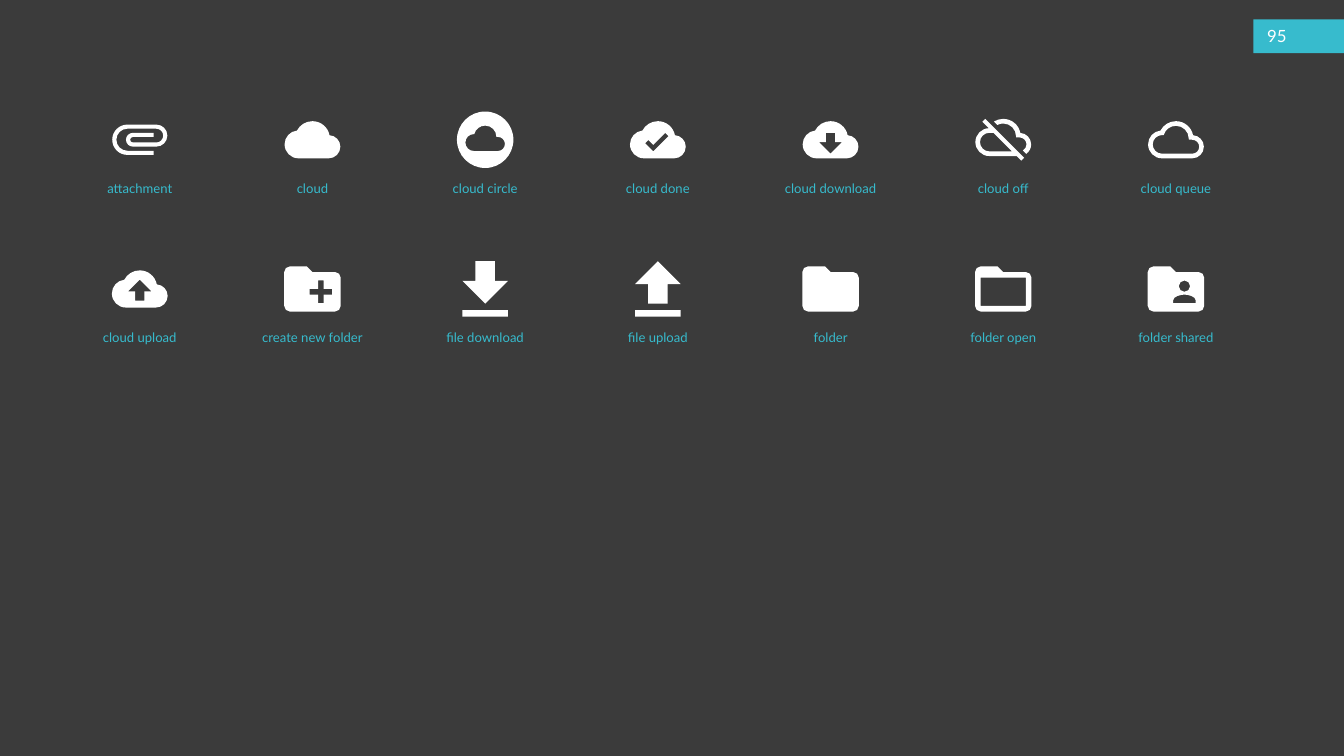
from dataclasses import dataclass
from typing import Any

from lxml.etree import SubElement
from pptx import Presentation
from pptx.dml.color import RGBColor
from pptx.enum.shapes import MSO_SHAPE
from pptx.enum.text import MSO_ANCHOR, MSO_AUTO_SIZE, PP_ALIGN
from pptx.oxml.ns import qn
from pptx.shapes.autoshape import Shape
from pptx.slide import Slide
from pptx.util import Inches, Pt

Point = tuple[int, int]
Segment = list[Point]


@dataclass(frozen=True)
class Theme:
    background: RGBColor = RGBColor(0x3B, 0x3B, 0x3B)
    accent: RGBColor = RGBColor(0x37, 0xBB, 0xCD)
    white: RGBColor = RGBColor(0xFF, 0xFF, 0xFF)
    font: str = "Lato"
    label_size: int = 14
    number_size: int = 18


@dataclass(frozen=True)
class Icon:
    label: str
    contours: tuple[str, ...]
    units_wide: float
    width: float
    middle: float = 12


@dataclass(frozen=True)
class Frame:
    left: float
    top: float
    width: float
    height: float

    def lengths(self) -> tuple[int, ...]:
        return tuple(Inches(value) for value in (self.left, self.top, self.width, self.height))


THEME = Theme()
COLUMNS = 7
FIRST_CENTER, COLUMN_STEP = 2.08, 2.57
FIRST_MIDDLE, ROW_STEP = 2.08, 2.22
LABEL_WIDTH, LABEL_HEIGHT, LABEL_DROP = 2.78, 0.34, 0.56

CLOUD = (
    "19.35,10.04 18.67,6.59,15.64,4,12,4 9.11,4,6.6,5.64,5.35,8.04 2.34,8.36,0,10.91,0,14 "
    "0,17.31,2.69,20,6,20 19,20 21.76,20,24,17.76,24,15 24,12.36,21.95,10.22,19.35,10.04"
)
CLOUD_HOLE = (
    "19,18 6,18 3.79,18,2,16.21,2,14 2,11.79,3.79,10,6,10 6.71,10 7.37,7.69,9.48,6,12,6 "
    "15.04,6,17.5,8.46,17.5,11.5 17.5,12 19,12 20.66,12,22,13.34,22,15 22,16.66,20.66,18,19,18"
)
CLOUD_OFF = (
    "19.35,10.04 18.67,6.59,15.64,4,12,4 10.52,4,9.15,4.43,7.99,5.17 9.45,6.63 "
    "10.21,6.23,11.08,6,12,6 15.04,6,17.5,8.46,17.5,11.5 17.5,12 19,12 20.66,12,22,13.34,22,15 "
    "22,16.13,21.36,17.11,20.44,17.62 21.89,19.07 23.16,18.16,24,16.68,24,15 "
    "24,12.36,21.95,10.22,19.35,10.04",
    "3,5.27 5.75,8.01 2.56,8.15,0,10.77,0,14 0,17.31,2.69,20,6,20 17.73,20 19.73,22 "
    "21,20.73 4.27,4",
    "7.73,10 15.73,18 6,18 3.79,18,2,16.21,2,14 2,11.79,3.79,10,6,10",
)
DISC = (
    "12,2 6.48,2,2,6.48,2,12 2,17.52,6.48,22,12,22 17.52,22,22,17.52,22,12 22,6.48,17.52,2,12,2"
)
SMALL_CLOUD = (
    "16.5,16 8,16 6.34,16,5,14.66,5,13 5,11.34,6.34,10,8,10 8.14,10.01 8.58,8.28,10.13,7,12,7 "
    "14.21,7,16,8.79,16,11 16.5,11 17.88,11,19,12.12,19,13.5 19,14.88,17.88,16,16.5,16"
)
CLIP = (
    "7.5,18 4.46,18,2,15.54,2,12.5 2,9.46,4.46,7,7.5,7 18,7 20.21,7,22,8.79,22,11 "
    "22,13.21,20.21,15,18,15 9.5,15 8.12,15,7,13.88,7,12.5 7,11.12,8.12,10,9.5,10 17,10 "
    "17,11.5 9.5,11.5 8.95,11.5,8.5,11.95,8.5,12.5 8.5,13.05,8.95,13.5,9.5,13.5 18,13.5 "
    "19.38,13.5,20.5,12.38,20.5,11 20.5,9.62,19.38,8.5,18,8.5 7.5,8.5 "
    "5.29,8.5,3.5,10.29,3.5,12.5 3.5,14.71,5.29,16.5,7.5,16.5 17,16.5 17,18"
)
FOLDER = (
    "10,4 4,4 2.9,4,2,4.9,2,6 2,18 2,19.1,2.9,20,4,20 20,20 21.1,20,22,19.1,22,18 "
    "22,8 22,6.9,21.1,6,20,6 12,6"
)
HEAD = "15,9 16.1,9,17,9.9,17,11 17,12.1,16.1,13,15,13 13.9,13,13,12.1,13,11 13,9.9,13.9,9,15,9"
SHOULDERS = "19,17 11,17 11,16 11,14.67,13.67,14,15,14 16.33,14,19,14.67,19,16"
CHECK = "10,17 6.5,13.5 7.91,12.09 10,14.17 15.18,9 16.59,10.41"
ARROW_DOWN = "17,13 12,18 7,13 10,13 10,9 14,9 14,13"
ARROW_UP = "14,13 14,17 10,17 10,13 7,13 12,8 17,13"
PLUS = "19,14 16,14 16,17 14,17 14,14 11,14 11,12 14,12 14,9 16,9 16,12 19,12"
WINDOW = "20,18 4,18 4,8 20,8"
BIG_ARROW_DOWN = "19,9 15,9 15,3 9,3 9,9 5,9 12,16"
BIG_ARROW_UP = "9,16 15,16 15,10 19,10 12,3 5,10 9,10"
TRAY = "5,18 5,20 19,20 19,18"


def cloud_icon(label: str, *details: str) -> Icon:
    return Icon(label, (CLOUD, *details), 24, 0.83)


def folder_icon(label: str, *details: str) -> Icon:
    return Icon(label, (FOLDER, *details), 20, 0.84)


def file_icon(label: str, arrow: str) -> Icon:
    return Icon(label, (arrow, TRAY), 14, 0.68, 11.5)


ICONS = (
    Icon("attachment", (CLIP,), 20, 0.82, 12.5),
    cloud_icon("cloud"),
    Icon("cloud circle", (DISC, SMALL_CLOUD), 20, 0.84),
    cloud_icon("cloud done", CHECK),
    cloud_icon("cloud download", ARROW_DOWN),
    Icon("cloud off", CLOUD_OFF, 24, 0.83, 13),
    cloud_icon("cloud queue", CLOUD_HOLE),
    cloud_icon("cloud upload", ARROW_UP),
    folder_icon("create new folder", PLUS),
    file_icon("file download", BIG_ARROW_DOWN),
    file_icon("file upload", BIG_ARROW_UP),
    folder_icon("folder"),
    folder_icon("folder open", WINDOW),
    folder_icon("folder shared", HEAD, SHOULDERS),
)


def place(contour: str, icon: Icon, center: float, middle: float) -> list[Segment]:
    unit = icon.width / icon.units_wide
    segments = []
    for segment in contour.split():
        values = [float(value) for value in segment.split(",")]
        segments.append([
            (Inches(center + (x - 12) * unit), Inches(middle + (y - icon.middle) * unit))
            for x, y in zip(values[::2], values[1::2])
        ])
    return segments


def bend(shape: Shape, segments: list[Segment]) -> None:
    for line, points in zip(list(shape.element.iter(qn("a:lnTo"))), segments):
        if len(points) == 3:
            line.tag = qn("a:cubicBezTo")
            line.remove(line[0])
            for x, y in points:
                SubElement(line, qn("a:pt"), x=str(x - shape.left), y=str(y - shape.top))


def paint(shape: Shape, color: RGBColor) -> None:
    shape.fill.solid()
    shape.fill.fore_color.rgb = color
    shape.line.fill.background()
    shape.shadow.inherit = False


def draw_icon(page: Slide, icon: Icon, center: float, middle: float) -> None:
    outlines = [place(contour, icon, center, middle) for contour in icon.contours]
    builder = page.shapes.build_freeform(*outlines[0][0][-1])
    for index, outline in enumerate(outlines):
        if index:
            builder.move_to(*outline[0][-1])
        builder.add_line_segments([points[-1] for points in outline[1:]], close=True)
    shape = builder.convert_to_shape()
    bend(shape, [points for outline in outlines for points in outline[1:]])
    paint(shape, THEME.white)


def draw_text(
    page: Slide, text: str, frame: Frame, size: int, color: RGBColor, layout: dict[str, Any],
    alignment: PP_ALIGN = PP_ALIGN.LEFT,
) -> None:
    box = page.shapes.add_textbox(*frame.lengths())
    for name, value in layout.items():
        setattr(box.text_frame, name, value)
    para = box.text_frame.paragraphs[0]
    para.alignment = alignment
    span = para.add_run()
    span.text = text
    for name, value in {"name": THEME.font, "size": Pt(size)}.items():
        setattr(span.font, name, value)
    span.font.color.rgb = color


def main() -> None:
    deck = Presentation()
    deck.slide_width, deck.slide_height = Inches(20), Inches(11.25)
    page = deck.slides.add_slide(deck.slide_layouts[6])
    page.background.fill.solid()
    page.background.fill.fore_color.rgb = THEME.background
    tab = page.shapes.add_shape(MSO_SHAPE.RECTANGLE, *Frame(18.65, 0.29, 1.35, 0.5).lengths())
    paint(tab, THEME.accent)
    label_layout = {"word_wrap": True, "auto_size": MSO_AUTO_SIZE.SHAPE_TO_FIT_TEXT}
    for index, icon in enumerate(ICONS):
        row, column = divmod(index, COLUMNS)
        center = FIRST_CENTER + column * COLUMN_STEP
        middle = FIRST_MIDDLE + row * ROW_STEP
        draw_icon(page, icon, center, middle)
        frame = Frame(center - LABEL_WIDTH / 2, middle + LABEL_DROP, LABEL_WIDTH, LABEL_HEIGHT)
        draw_text(page, icon.label, frame, THEME.label_size, THEME.accent, label_layout,
                  PP_ALIGN.CENTER)
    number_layout = {"word_wrap": True, "vertical_anchor": MSO_ANCHOR.MIDDLE}
    draw_text(page, "95", Frame(18.76, 0.28, 0.67, 0.5), THEME.number_size, THEME.white,
              number_layout)
    deck.save("out.pptx")


if __name__ == "__main__":
    main()
